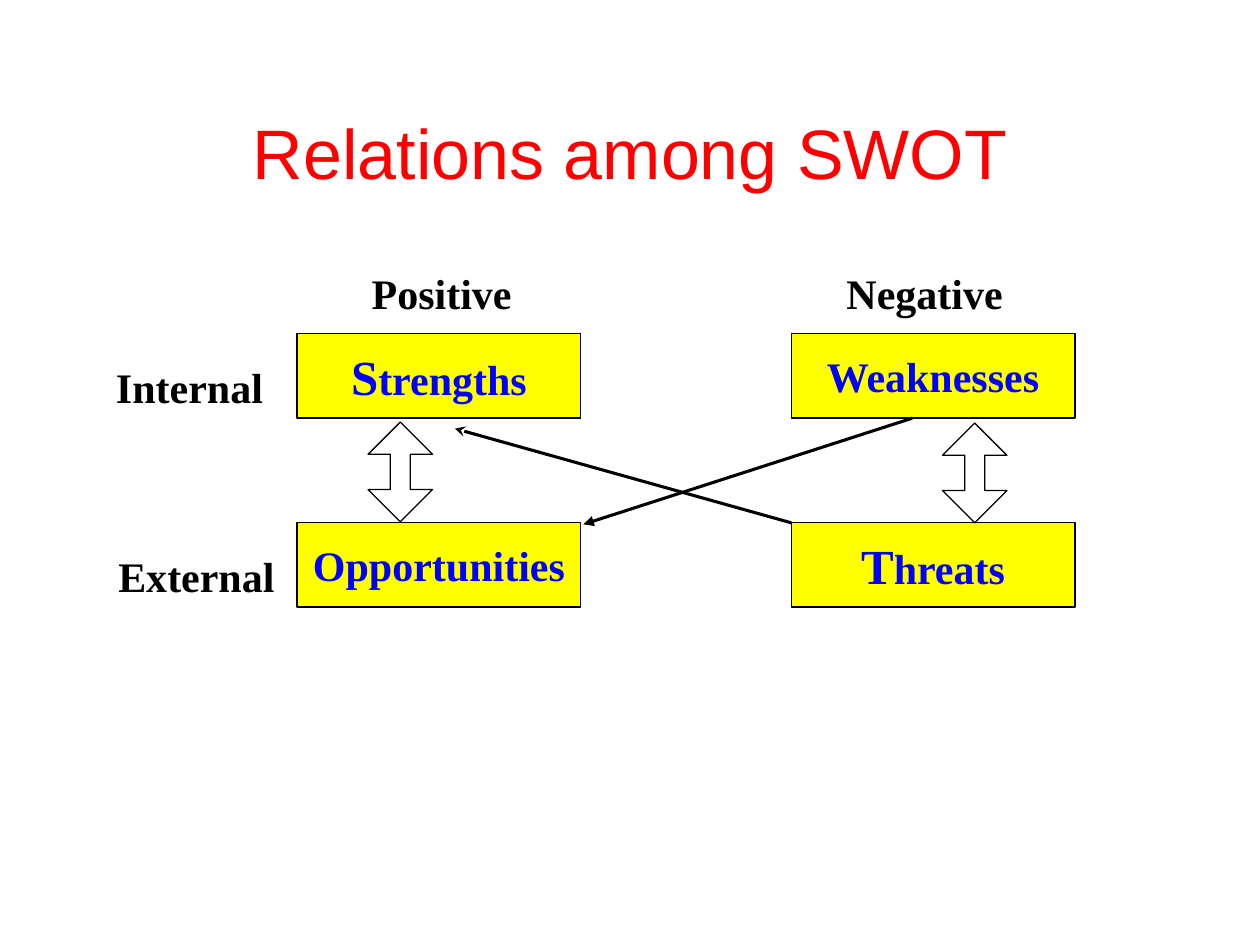
"""Build a slide that shows the relations among the four SWOT factors."""
from dataclasses import dataclass

import pptx
import pptx.dml.color
import pptx.enum.shapes
import pptx.enum.text
import pptx.oxml.ns
import pptx.util
from lxml import etree
from pptx.util import Cm


@dataclass(frozen=True)
class Theme:
    """Colours, fonts and sizes of the slide."""
    red: str = "FF0000"
    blue: str = "0000FF"
    yellow: str = "FFFF00"
    black: str = "000000"
    title_font: str = "Arial"
    body_font: str = "Times New Roman"
    title_size: int = 40
    initial_size: int = 28
    body_size: int = 24
    outline: float = 0.75
    arrow_line: float = 1.75


THEME = Theme()
COLUMNS = (5.99, 15.95)
ROWS = (6.73, 10.54)
BOX_WIDTH, BOX_HEIGHT = 5.72, 1.7


def rgb(value):
    """Return a colour object for a hex value."""
    return pptx.dml.color.RGBColor.from_string(value)


def write_text(shape, text, *, color=THEME.black, font=THEME.body_font, size=THEME.body_size,
               initial_size=None, bold=True, wrap=False):
    """Write one centred line, with an optional larger first letter."""
    frame = shape.text_frame
    frame.word_wrap = wrap
    frame.vertical_anchor = pptx.enum.text.MSO_ANCHOR.MIDDLE
    paragraph = frame.paragraphs[0]
    paragraph.alignment = pptx.enum.text.PP_ALIGN.CENTER
    pieces = [(text[0], initial_size), (text[1:], size)] if initial_size else [(text, size)]
    for piece, points in pieces:
        run = paragraph.add_run()
        run.text = piece
        run.font.name = font
        run.font.size = pptx.util.Pt(points)
        run.font.bold = bold
        run.font.color.rgb = rgb(color)


def add_label(slide, text, left, top, width, height=1.27, **text_format):
    """Add a text box with one line."""
    label = slide.shapes.add_textbox(Cm(left), Cm(top), Cm(width), Cm(height))
    write_text(label, text, **text_format)


def add_outlined(slide, kind, left, top, width, height):
    """Add an unfilled preset shape with a thin outline."""
    shape = slide.shapes.add_shape(kind, Cm(left), Cm(top), Cm(width), Cm(height))
    shape.shadow.inherit = False
    shape.fill.background()
    shape.line.color.rgb = rgb(THEME.black)
    shape.line.width = pptx.util.Pt(THEME.outline)
    return shape


def add_factor(slide, text, column, row, initial_size=None):
    """Add a yellow factor box in a grid cell."""
    box = add_outlined(slide, pptx.enum.shapes.MSO_SHAPE.RECTANGLE,
                       COLUMNS[column], ROWS[row], BOX_WIDTH, BOX_HEIGHT)
    box.fill.solid()
    box.fill.fore_color.rgb = rgb(THEME.yellow)
    write_text(box, text, color=THEME.blue, initial_size=initial_size)


def add_double_arrow(slide, left, top):
    """Add a vertical block arrow with two heads."""
    arrow = add_outlined(slide, pptx.enum.shapes.MSO_SHAPE.UP_DOWN_ARROW, left, top, 1.3, 2.01)
    arrow.adjustments[0] = 0.5
    arrow.adjustments[1] = 0.31


def add_line_arrow(slide, start, end, end_tag, head):
    """Add a straight line with an arrowhead at one end."""
    connector = slide.shapes.add_connector(
        pptx.enum.shapes.MSO_CONNECTOR.STRAIGHT, *map(Cm, start + end))
    connector.line.color.rgb = rgb(THEME.black)
    connector.line.width = pptx.util.Pt(THEME.arrow_line)
    qn = pptx.oxml.ns.qn
    properties = connector.element.find(qn("p:spPr"))
    etree.SubElement(properties.find(qn("a:ln")), qn(end_tag), type=head)
    etree.SubElement(properties, qn("a:effectLst"))


def main():
    """Build and save the slide."""
    presentation = pptx.Presentation()
    presentation.slide_width, presentation.slide_height = Cm(25.4), Cm(19.05)
    slide = presentation.slides.add_slide(presentation.slide_layouts[6])

    add_label(slide, "Relations among SWOT", 1.27, 2.18, 22.86, 1.75, color=THEME.red,
              font=THEME.title_font, size=THEME.title_size, bold=False, wrap=True)
    add_factor(slide, "Strengths", 0, 0, THEME.initial_size)
    add_factor(slide, "Opportunities", 0, 1)
    add_factor(slide, "Threats", 1, 1, THEME.initial_size)
    add_factor(slide, "Weaknesses", 1, 0)
    for text, left, top, width in (
        ("Positive", 7.24, 5.26, 3.33),
        ("Negative", 16.81, 5.26, 3.66),
        ("External", 2.13, 10.97, 3.66),
        ("Internal", 2.08, 7.16, 3.48),
    ):
        add_label(slide, text, left, top, width)
    add_line_arrow(slide, (COLUMNS[1], ROWS[1]), (9.17, 8.64), "a:tailEnd", "stealth")
    add_line_arrow(slide, (11.76, 10.57), (18.39, 8.43), "a:headEnd", "triangle")
    add_double_arrow(slide, 7.42, 8.51)
    add_double_arrow(slide, 19.0, 8.53)
    presentation.save("out.pptx")


if __name__ == "__main__":
    main()
